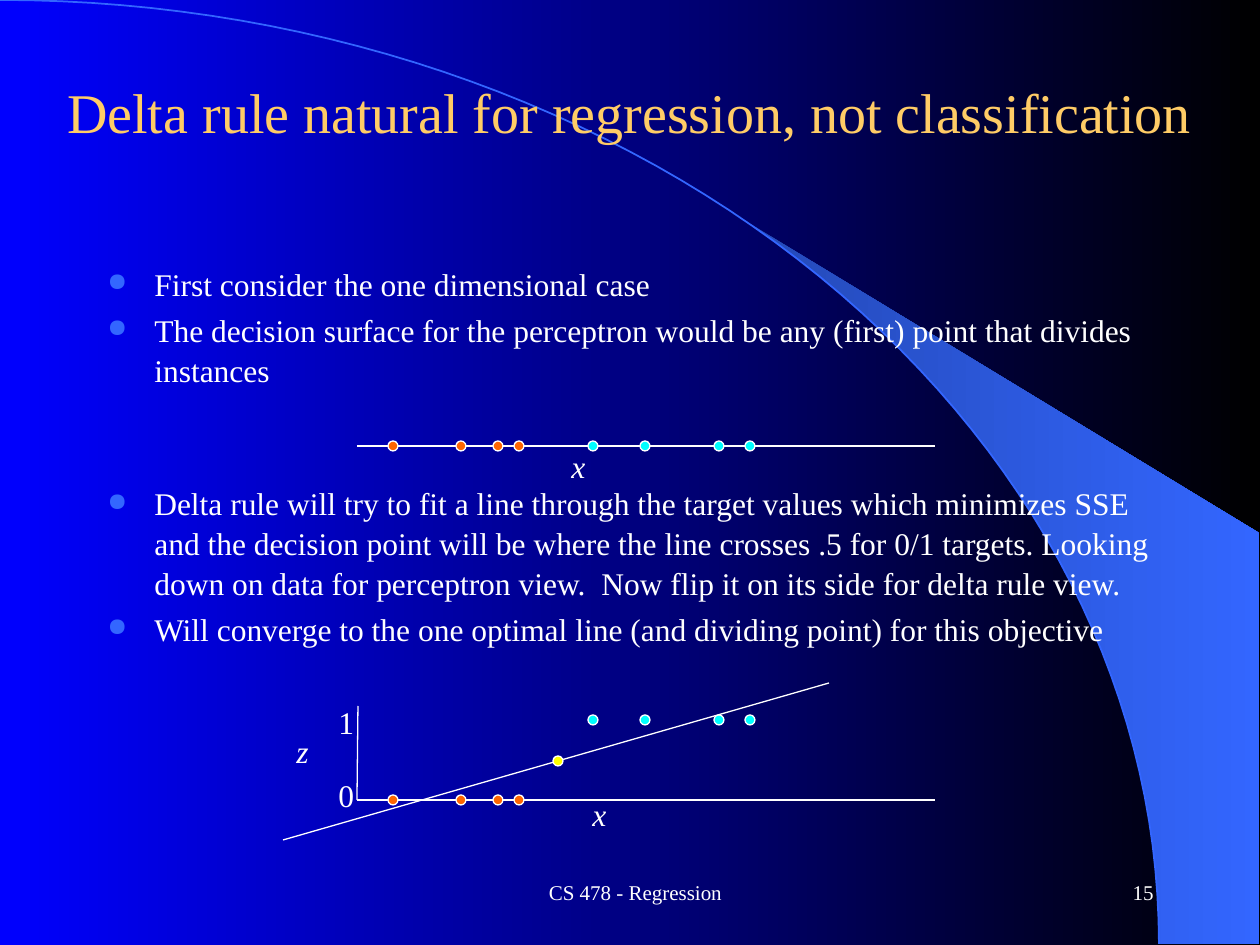
"""Build the slide on the delta rule for regression."""
from math import asin, cos, pi, sin
from lxml import etree
from pptx import Presentation, util as u
from pptx.dml.color import RGBColor
from pptx.enum import shapes, text
from pptx.oxml import ns

PX = 914400 / 126
WIDE, HIGH = 1260, 945
FONT = "Times New Roman"
HEX = {"blue": "0000FF", "black": "000000", "rim": "3366FF", "dusk": "2449B6",
       "gold": "FFCC66", "white": "FFFFFF", "cyan": "00FFFF",
       "orange": "FF6600", "yellow": "FFFF00"}

TITLE = "Delta rule natural for regression, not classification"
BODY = [
    ("First consider the one dimensional case", 0),
    ("The decision surface for the perceptron would be any (first) point "
     "that divides instances", 3.6),
    ("Delta rule will try to fit a line through the target values which "
     "minimizes SSE and the decision point will be where the line crosses .5 "
     "for 0/1 targets. Looking down on data for perceptron view.  Now flip it "
     "on its side for delta rule view.", 53.7),
    ("Will converge to the one optimal line (and dividing point) for this "
     "objective", 3.6),
]
FOOT = [("CS 478 - Regression", 399, 473, "CENTER"), ("15", 903, 263, "RIGHT")]
MARKS = [("x", 559, 441, True), ("x", 580, 789, True), ("z", 284, 726, True),
         ("0", 326, 770, False), ("1", 326, 697, False)]
LINES = [(357, 446, 935, 446), (357, 800, 935, 800), (357, 800, 358, 706),
         (829, 683, 283, 840)]
LOW = [393, 461, 498, 519]
TOP = [593, 645, 719, 750]
ROWS = [("orange", LOW, 446), ("cyan", TOP, 446), ("orange", LOW, 800),
        ("cyan", TOP, 720), ("yellow", [558], 761)]
DOT = 10
ARC_W, ARC_H = 1159, 944
WEDGE_X, WEDGE_Y, EDGE = 742, 533, 1259


def px(n):
    return round(n * PX)


def rgb(name):
    return RGBColor.from_string(HEX[name])


def blend(fill, first, last):
    fill.gradient()
    fill.gradient_angle = 0
    for stop, name in zip(fill.gradient_stops, (first, last)):
        stop.color.rgb = rgb(name)


def arc(start, steps=60):
    turns = [start + (pi / 2 - start) * i / steps for i in range(steps + 1)]
    return [(ARC_W * sin(t), ARC_H * (1 - cos(t))) for t in turns]


def shape(slide, points, close):
    spots = [(px(x), px(y)) for x, y in points]
    pen = slide.shapes.build_freeform(*spots[0])
    pen.add_line_segments(spots[1:], close=close)
    form = pen.convert_to_shape()
    form.shadow.inherit = False
    return form


def style(para, size, color="white", align="LEFT", slant=False):
    para.alignment = getattr(text.PP_ALIGN, align)
    font = para.font
    font.name, font.size, font.italic = FONT, u.Pt(size), slant
    font.color.rgb = rgb(color)


def box(slide, left, top, width, height, anchor="TOP", wrap=True):
    frame = slide.shapes.add_textbox(*map(px, (left, top, width, height))).text_frame
    frame.word_wrap = wrap
    frame.vertical_anchor = getattr(text.MSO_ANCHOR, anchor)
    return frame


def label(frame, words, *look):
    para = frame.paragraphs[0]
    para.text = words
    style(para, *look)


def bullet(para):
    props = para._p.get_or_add_pPr()
    props.set("marL", str(px(47)))
    props.set("indent", str(-px(47)))
    tint = etree.SubElement(props, ns.qn("a:buClr"))
    etree.SubElement(tint, ns.qn("a:srgbClr"), val=HEX["rim"])
    etree.SubElement(props, ns.qn("a:buSzPct"), val="80000")
    etree.SubElement(props, ns.qn("a:buChar"), char="●")


def backdrop(slide):
    blend(slide.background.fill, "blue", "black")
    rim = arc(asin(WEDGE_X / ARC_W))
    wedge = shape(slide, rim + [(EDGE, ARC_H), (EDGE, WEDGE_Y)], True)
    blend(wedge.fill, "dusk", "rim")
    wedge.line.fill.background()
    curve = shape(slide, arc(0), False)
    curve.fill.background()
    curve.line.color.rgb = rgb("rim")
    curve.line.width = u.Pt(1)


def words(slide):
    label(box(slide, 42, 53, 1176, 116, "MIDDLE"), TITLE, 32, "gold", "CENTER")
    frame = box(slide, 95, 257, 1071, 406)
    for i, (line, gap) in enumerate(BODY):
        para = frame.add_paragraph() if i else frame.paragraphs[0]
        para.text = line
        bullet(para)
        para.line_spacing = 1.05
        para.space_before = u.Pt(gap)
        style(para, 18)
    for line, left, width, align in FOOT:
        label(box(slide, left, 861, width, 63, "MIDDLE"), line, 12, "white", align)


def plots(slide):
    for ends in LINES:
        line = slide.shapes.add_connector(shapes.MSO_CONNECTOR.STRAIGHT, *map(px, ends))
        line.line.color.rgb = rgb("white")
        line.line.width = u.Pt(0.75)
        etree.SubElement(line._element.spPr, ns.qn("a:effectLst"))
    for mark, left, top, slant in MARKS:
        frame = box(slide, left, top, 50 if slant else 42, 50, wrap=False)
        label(frame, mark, 18, "white", "LEFT", slant)
    for color, row, mid in ROWS:
        for x in row:
            dot = slide.shapes.add_shape(shapes.MSO_SHAPE.OVAL, px(x - DOT / 2),
                                         px(mid - DOT / 2), px(DOT), px(DOT))
            dot.shadow.inherit = False
            dot.fill.solid()
            dot.fill.fore_color.rgb = rgb(color)
            dot.line.color.rgb = rgb("white")
            dot.line.width = u.Pt(0.75)


def main():
    deck = Presentation()
    deck.slide_width, deck.slide_height = px(WIDE), px(HIGH)
    slide = deck.slides.add_slide(deck.slide_layouts[6])
    backdrop(slide)
    words(slide)
    plots(slide)
    deck.save("out.pptx")


if __name__ == "__main__":
    main()
